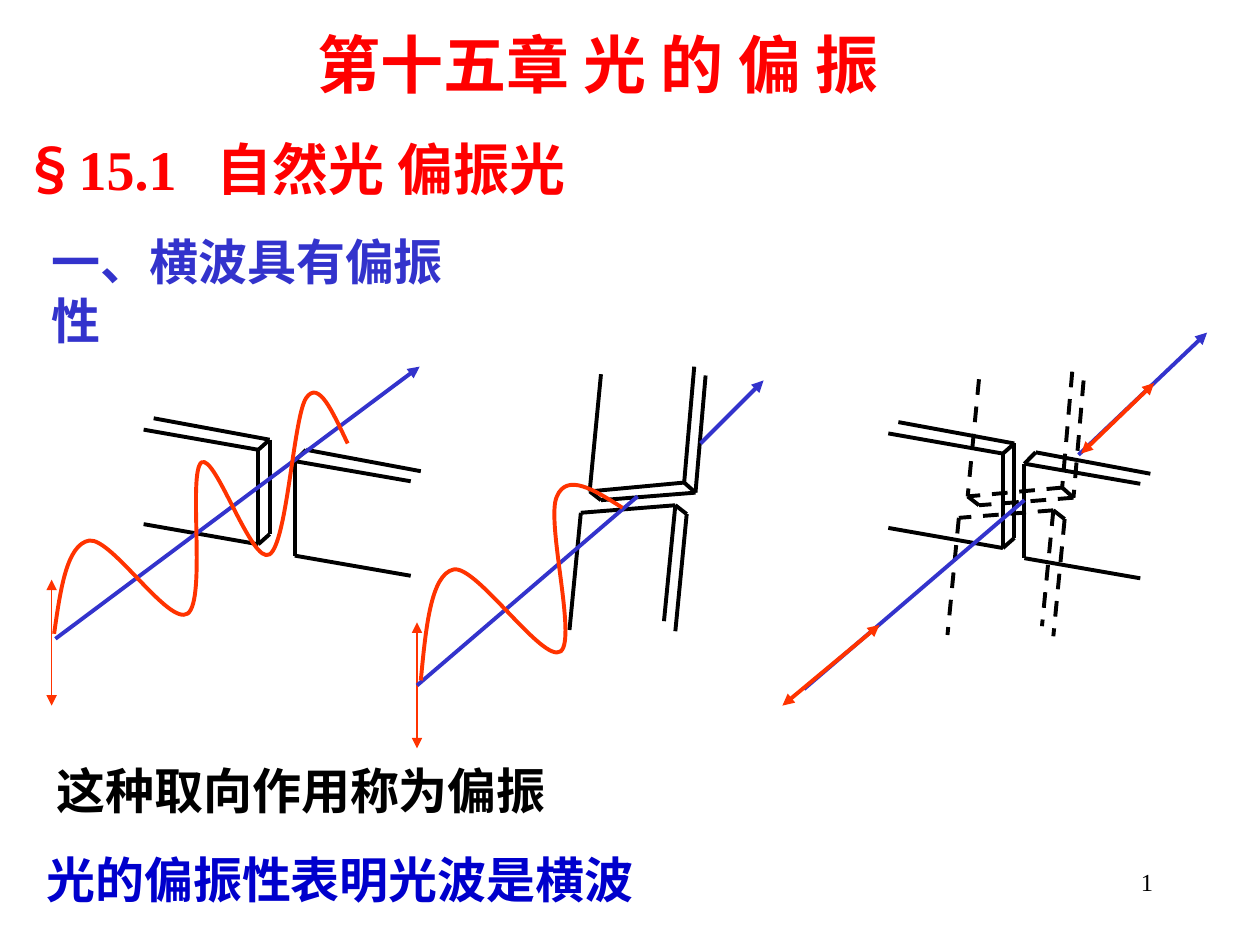
from lxml.etree import SubElement
from pptx import Presentation
from pptx.dml.color import RGBColor
from pptx.enum.dml import MSO_LINE_DASH_STYLE as Dash
from pptx.enum.shapes import MSO_CONNECTOR as Connector
from pptx.enum.text import PP_ALIGN as Align
from pptx.oxml.ns import qn
from pptx.util import Inches, Pt

BLACK, RED, ORANGE, BLUE, DEEP_BLUE = "000000", "FF0000", "FF3300", "3333CC", "0000CC"
SANS, SERIF = "Noto Sans CJK SC", "Times New Roman"

LEFT_PLATE = [
    (-0.92, -0.17, 0, 0), (0, 0, -0.09, 0.08), (-1, -0.08, -0.09, 0.08),
    (0, 0, 0, 0.75), (-0.09, 0.08, -0.09, 0.83), (0, 0.75, -0.09, 0.83),
    (-1, 0.67, -0.09, 0.83),
]
RIGHT_PLATE = [
    (0.09, -0.09, 1, 0.08), (0.09, -0.09, 0, 0), (0, 0, 0.92, 0.16),
    (0, 0, 0, 0.75), (0, 0.75, 0.92, 0.91),
]
UPPER_PLATE = [
    (0.08, -0.93, 0, 0), (0, 0, -0.09, -0.08), (-0.01, -1, -0.09, -0.08),
    (0, 0, -0.75, 0.06), (-0.09, -0.08, -0.84, -0.01),
    (-0.75, 0.06, -0.84, -0.01), (-0.75, -0.94, -0.84, -0.01),
]
LOWER_PLATE = [
    (0, 0, -0.09, 0.93), (0, 0, -0.09, -0.07), (-0.09, -0.07, -0.18, 0.85),
    (-0.09, -0.07, -0.84, -0.01), (-0.84, -0.01, -0.93, 0.92),
]
LONG_WAVE = [
    (0.43, 5.03), (0.48, 4.68), (0.53, 4.32), (0.71, 4.29), (0.89, 4.27),
    (1.34, 4.97), (1.49, 4.87), (1.64, 4.76), (1.49, 3.75), (1.6, 3.67),
    (1.71, 3.6), (2, 4.49), (2.14, 4.4), (2.28, 4.31), (2.33, 3.31),
    (2.43, 3.16), (2.53, 3.01), (2.64, 3.27), (2.76, 3.52),
]
BLOCKED_WAVE = [
    (3.34, 5.4), (3.38, 4.98), (3.42, 4.56), (3.6, 4.52), (3.78, 4.48),
    (4.31, 5.27), (4.45, 5.17), (4.58, 5.07), (4.33, 4.13), (4.42, 3.94),
    (4.5, 3.75), (4.72, 3.89), (4.94, 4.03),
]


def color(code):
    return RGBColor.from_string(code)


def add_line(page, ends, code, width=2.25, arrows=(), dashed=False):
    line = page.shapes.add_connector(Connector.STRAIGHT, *map(Inches, ends))
    line.line.color.rgb = color(code)
    line.line.width = Pt(width)
    if dashed:
        line.line.dash_style = Dash.DASH
    for end in arrows:
        SubElement(line.line._get_or_add_ln(), qn(f"a:{end}"), type="triangle")
    SubElement(line._element.spPr, qn("a:effectLst"))


def add_plate(page, edges, x, y, dashed=False):
    for x1, y1, x2, y2 in edges:
        add_line(page, (x + x1, y + y1, x + x2, y + y2), BLACK, dashed=dashed)


def add_wave(page, points):
    start, *rest = [(Inches(x), Inches(y)) for x, y in points]
    builder = page.shapes.build_freeform(*start)
    builder.add_line_segments(rest, close=False)
    wave = builder.convert_to_shape()
    wave.shadow.inherit = False
    wave.fill.background()
    wave.line.color.rgb = color(ORANGE)
    wave.line.width = Pt(2.25)
    outline = next(wave._element.iter(qn("a:path")))
    steps = outline.findall(qn("a:lnTo"))
    for first in range(0, len(steps), 3):
        curve = SubElement(outline, qn("a:cubicBezTo"))
        for step in steps[first:first + 3]:
            curve.append(step[0])
            outline.remove(step)


def add_text(page, place, spans, size, code, bold=True, wrap=True, align=None, tab=None):
    box = page.shapes.add_textbox(*map(Inches, place))
    box.text_frame.word_wrap = wrap
    para = box.text_frame.paragraphs[0]
    if align is not None:
        para.alignment = align
    if tab:
        stops = SubElement(para._p.get_or_add_pPr(), qn("a:tabLst"))
        SubElement(stops, qn("a:tab"), pos=str(Inches(tab)), algn="l")
    para.font.size = Pt(size)
    para.font.bold = bold
    para.font.color.rgb = color(code)
    for words, face in spans:
        span = para.add_run()
        span.text = words
        span.font.name = face
        SubElement(span.font._element, qn("a:ea"), typeface=SANS)


def add_passing_wave(page):
    add_plate(page, LEFT_PLATE, 2.14, 3.49)
    add_plate(page, RIGHT_PLATE, 2.34, 3.66)
    add_line(page, (0.41, 4.6, 0.41, 5.6), ORANGE, 0.75, ("headEnd", "tailEnd"))
    add_line(page, (0.44, 5.07, 3.33, 2.91), BLUE, arrows=("tailEnd",))
    add_wave(page, LONG_WAVE)


def add_blocked_wave(page):
    add_plate(page, UPPER_PLATE, 5.52, 3.91)
    add_plate(page, LOWER_PLATE, 5.45, 4.08)
    add_line(page, (3.31, 4.94, 3.31, 5.94), ORANGE, 0.75, ("headEnd", "tailEnd"))
    add_line(page, (3.31, 5.44, 5.06, 3.94), BLUE)
    add_line(page, (5.56, 3.52, 6.06, 3.02), BLUE, arrows=("tailEnd",))
    add_wave(page, BLOCKED_WAVE)


def add_longitudinal_wave(page):
    add_plate(page, UPPER_PLATE, 8.52, 3.95, dashed=True)
    add_plate(page, LOWER_PLATE, 8.45, 4.12, dashed=True)
    add_plate(page, LEFT_PLATE, 8.05, 3.52)
    add_plate(page, RIGHT_PLATE, 8.13, 3.68)
    add_line(page, (6.38, 5.47, 8.13, 3.97), BLUE)
    add_line(page, (6.98, 4.96, 6.21, 5.6), ORANGE, arrows=("headEnd", "tailEnd"))
    add_line(page, (8.56, 3.61, 9.58, 2.64), BLUE, arrows=("tailEnd",))
    add_line(page, (8.58, 3.6, 9.16, 3.04), ORANGE, arrows=("headEnd", "tailEnd"))


def main():
    deck = Presentation()
    deck.slide_width, deck.slide_height = Inches(10), Inches(7.5)
    page = deck.slides.add_slide(deck.slide_layouts[6])
    add_longitudinal_wave(page)
    add_passing_wave(page)
    add_blocked_wave(page)
    add_text(page, (2.42, 0.15, 5.5, 0.7), [("第十五章 光 的 偏 振", SANS)], 36, RED)
    section = [("§", SANS), ("15.1\t", SERIF), ("自然光 偏振光", SANS)]
    add_text(page, (0.08, 1.02, 5.08, 0.64), section, 32, RED, tab=1.54)
    add_text(page, (0.31, 1.79, 3.69, 0.57), [("一、横波具有偏振性", SERIF)], 28, BLUE, wrap=False)
    add_text(page, (0.27, 6.69, 7.33, 0.57), [("光的偏振性表明光波是横波", SERIF)], 28, DEEP_BLUE)
    add_text(page, (0.35, 5.99, 4.49, 0.57), [("这种取向作用称为偏振", SERIF)], 28, BLACK)
    add_text(page, (7.17, 6.83, 2.08, 0.5), [("1", SERIF)], 14, BLACK, bold=False, align=Align.RIGHT)
    deck.save("out.pptx")


if __name__ == "__main__":
    main()
